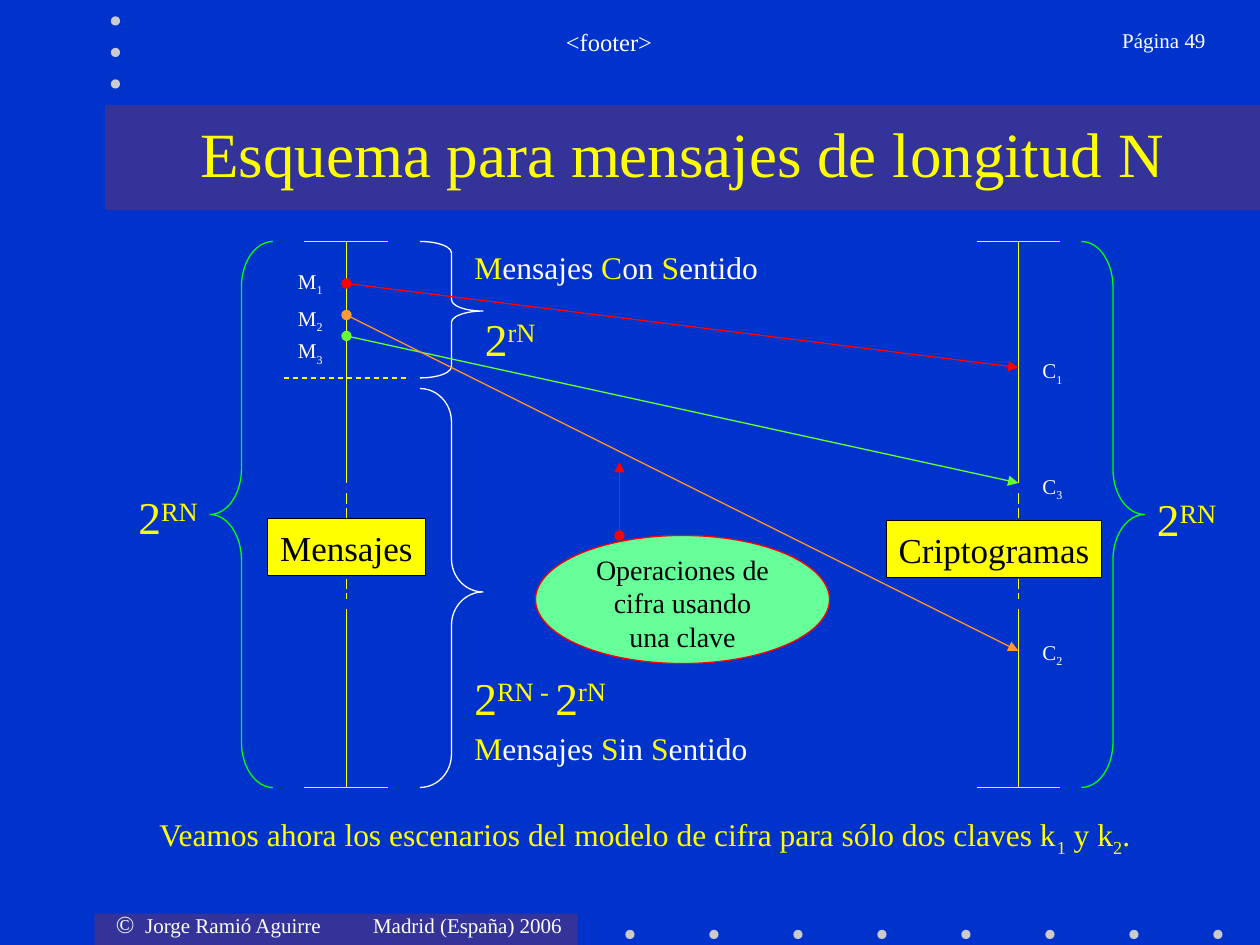
import pptx
import pptx.util
import pptx.dml.color
import pptx.enum.dml
import pptx.enum.shapes
import pptx.enum.text
import pptx.oxml

CELL = 1 / 12  # the slide is a grid of 120 columns by 90 rows
FONT = "Times New Roman"
YELLOW, WHITE, BLACK = "FFFF00", "FFFFFF", "000000"
RED, ORANGE, GREEN, LIME = "FF0000", "FF9933", "66FF33", "00FF00"
BAND, DOT = "333399", "CBCBCB"
SHAPE = pptx.enum.shapes.MSO_SHAPE
DASH = pptx.enum.dml.MSO_LINE
ALIGN = pptx.enum.text.PP_ALIGN
ANCHOR = pptx.enum.text.MSO_ANCHOR


def rgb(code):
    return pptx.dml.color.RGBColor.from_string(code)


def grid(*cells):
    return [pptx.util.Inches(cell * CELL) for cell in cells]


def write(shape, runs, size, align=ALIGN.LEFT, wrap=True, top=0.05, low=0.0,
          anchor=ANCHOR.TOP):
    """Fill a shape with runs of (text, colour, baseline in percent)."""
    frame = shape.text_frame
    frame.word_wrap = wrap
    frame.vertical_anchor = anchor
    frame.margin_top = pptx.util.Inches(top)
    frame.margin_bottom = pptx.util.Inches(low)
    para = frame.paragraphs[0]
    para.alignment = align
    for words, color, base in runs:
        run = para.add_run()
        run.text = words
        run.font.name = FONT
        run.font.size = pptx.util.Pt(size)
        run.font.color.rgb = rgb(color)
        if base:
            run.font._element.set("baseline", str(base * 1000))
    return para


def text(page, box, runs, size, **style):
    return write(page.shapes.add_textbox(*grid(*box)), runs, size, **style)


def block(page, kind, box, fill=None, line=None):
    shape = page.shapes.add_shape(kind, *grid(*box))
    shape.shadow.inherit = False
    if fill:
        shape.fill.solid()
        shape.fill.fore_color.rgb = rgb(fill)
    else:
        shape.fill.background()
    if line:
        shape.line.color.rgb = rgb(line)
        shape.line.width = pptx.util.Pt(0.75)
    else:
        shape.line.fill.background()
    return shape


def stroke(page, start, end, color, dash=None, arrow=False):
    kind = pptx.enum.shapes.MSO_CONNECTOR.STRAIGHT
    line = page.shapes.add_connector(kind, *grid(*start, *end))
    line.line.color.rgb = rgb(color)
    line.line.width = pptx.util.Pt(0.75)
    if dash:
        line.line.dash_style = dash
    props = line._element.spPr
    space = 'xmlns:a="http://schemas.openxmlformats.org/drawingml/2006/main"'
    if arrow:
        for tag, tip in (("headEnd", "oval"), ("tailEnd", "triangle")):
            props.ln.append(pptx.oxml.parse_xml(f'<a:{tag} {space} type="{tip}"/>'))
    props.append(pptx.oxml.parse_xml(f"<a:effectLst {space}/>"))


def dots(page, start, step, count):
    size = 0.88
    for i in range(count):
        x, y = (start[k] + i * step[k] - size / 2 for k in (0, 1))
        block(page, SHAPE.OVAL, (x, y, size, size), DOT)


def power(page, box, *parts):
    """Powers of two, written as alternating base and exponent."""
    runs = [(part, YELLOW, 30 * (i % 2)) for i, part in enumerate(parts)]
    text(page, box, runs, 26)


def caption(page, box, words):
    """Words whose capitals stand out."""
    runs = []
    for word in words.split():
        runs += [(word[0], YELLOW, 0), (word[1:] + " ", WHITE, 0)]
    runs[-1] = (runs[-1][0].rstrip(), WHITE, 0)
    text(page, box, runs, 18)


def header(page, box):
    x, y, w, h = box
    dots(page, (x + 1, y + 2), (0, 3), 3)
    text(page, (x + 9, y + 2, 78, 6), [("<footer>", WHITE, 0)], 14, align=ALIGN.CENTER)
    text(page, (x + w - 20.4, y + 2, 16.4, 6), [("Página 49", WHITE, 0)], 12,
         align=ALIGN.RIGHT)


def title(page, box):
    x, y, w, h = box
    block(page, SHAPE.RECTANGLE, box, BAND)
    text(page, (x + 2, y, w - 4, h - 1),
         [("Esquema para mensajes de longitud N", YELLOW, 0)], 36,
         align=ALIGN.CENTER, anchor=ANCHOR.MIDDLE, low=0.05)


def axis(page, box, name, plate):
    """Vertical scale with end ticks, a dashed gap and a name plate."""
    x, y, w, h = box
    mid = x + w / 2
    for top, low, dash in ((0, 23, None), (24, 34, DASH.LONG_DASH), (35, h, None)):
        stroke(page, (mid, y + top), (mid, y + low), YELLOW, dash)
    for row in (y, y + h):
        stroke(page, (x, row), (x + w, row), YELLOW)
    left, top, width = plate
    shape = block(page, SHAPE.RECTANGLE, (mid + left, y + top, width, 5.4), YELLOW, BLACK)
    write(shape, [(name, BLACK, 0)], 20, wrap=False, top=0.06, low=0.06)


def brace(page, box, kind, color, share=0.5):
    shape = block(page, kind, box, line=color)
    shape.adjustments[0] = box[3] / 12 / box[2]
    shape.adjustments[1] = share


def ranges(page, box):
    """Braces with the number of messages each one spans."""
    x, y, w, h = box
    brace(page, (x, y, 6, h), SHAPE.LEFT_BRACE, LIME)
    brace(page, (x + w - 6, y, 6, h), SHAPE.RIGHT_BRACE, LIME)
    power(page, (x - 8, y + 23, 9, 5.8), "2", "RN")
    power(page, (x + w, y + 23.2, 9, 5.8), "2", "RN")
    # With and without meaning
    brace(page, (x + 20, y, 6, 13), SHAPE.RIGHT_BRACE, WHITE, 0.51)
    brace(page, (x + 20, y + 14, 6, h - 14), SHAPE.RIGHT_BRACE, WHITE, 0.51)
    caption(page, (x + 24, y, 34, 4.2), "Mensajes Con Sentido")
    power(page, (x + 25, y + 6, 9, 5.8), "2", "rN")
    power(page, (x + 24, y + 40.2, 18, 5.8), "2", "RN - ", "2", "rN")
    caption(page, (x + 24, y + 45.8, 32, 4.2), "Mensajes Sin Sentido")
    stroke(page, (x + 7, y + 13), (x + 19, y + 13), YELLOW, DASH.DASH)


def flows(page, box):
    """Arrows from each message to its cryptogram."""
    x, y, w, h = box
    # number, colour, start and end row, label rows
    links = (("3", GREEN, 9, 23, 8.6, 21.5),
             ("2", ORANGE, 7, 39, 5.5, 37.3),
             ("1", RED, 4, 12, 2, 10.5))
    for num, color, start, end, left, right in links:
        stroke(page, (x, y + start), (x + w, y + end), color, arrow=True)
        for name, col, row in (("M", x - 5.8, left), ("C", x + w + 1.1, right)):
            text(page, (col, y + row, 6, 3.8),
                 [(name, WHITE, 0), (num, WHITE, -25)], 12, low=0.04)


def cipher(page, box):
    x, y, w, h = box
    oval = block(page, SHAPE.OVAL, box, "66FF99", RED)
    write(oval, [("Operaciones de cifra usando una clave", BLACK, 0)], 16,
          align=ALIGN.CENTER, anchor=ANCHOR.MIDDLE)
    stroke(page, (x + 8, y), (x + 8, y - 7), RED, arrow=True)


def closing(page, box):
    lead = "Veamos ahora los escenarios del modelo de cifra para sólo dos claves k"
    parts = (lead, 0), ("1", -25), (" y k", 0), ("2", -25), (".", 0)
    text(page, box, [(words, YELLOW, base) for words, base in parts], 18)


def footer(page, box):
    x, y, w, h = box
    block(page, SHAPE.RECTANGLE, (x, y, 46, h), BAND)
    dots(page, (x + 51, y + 2), (8, 0), 8)
    para = text(page, (x + 0.85, y - 1, 45, 4), [("©", WHITE, 0)], 14, wrap=False)
    run = para.add_run()
    run.text = "\tJorge Ramió Aguirre\tMadrid (España) 2006"
    run.font.name, run.font.size = FONT, pptx.util.Pt(12)
    run.font.color.rgb = rgb(WHITE)
    # Tab stops for the name and the place
    stops = "".join(f'<a:tab pos="{pos}" algn="l"/>' for pos in grid(2.8, 24.5))
    para._p.get_or_add_pPr().append(pptx.oxml.parse_xml(
        '<a:tabLst xmlns:a="http://schemas.openxmlformats.org/drawingml/2006/main">'
        f"{stops}</a:tabLst>"))


def main():
    deck = pptx.Presentation()
    deck.slide_width, deck.slide_height = grid(120, 90)
    page = deck.slides.add_slide(deck.slide_layouts[6])
    page.background.fill.solid()
    page.background.fill.fore_color.rgb = rgb("0033CC")
    header(page, (10, 0, 110, 10))
    title(page, (10, 10, 110, 10))
    axis(page, (29, 23, 8, 52), "Mensajes", (-7.5, 26.4, 15))
    axis(page, (93, 23, 8, 52), "Criptogramas", (-12.6, 26.6, 20.5))
    ranges(page, (20, 23, 89, 52))
    flows(page, (33, 23, 64, 52))
    cipher(page, (51, 51, 28, 12.2))
    closing(page, (14, 77, 97, 4.7))
    footer(page, (9, 87, 111, 3))
    deck.save("out.pptx")


if __name__ == "__main__":
    main()
